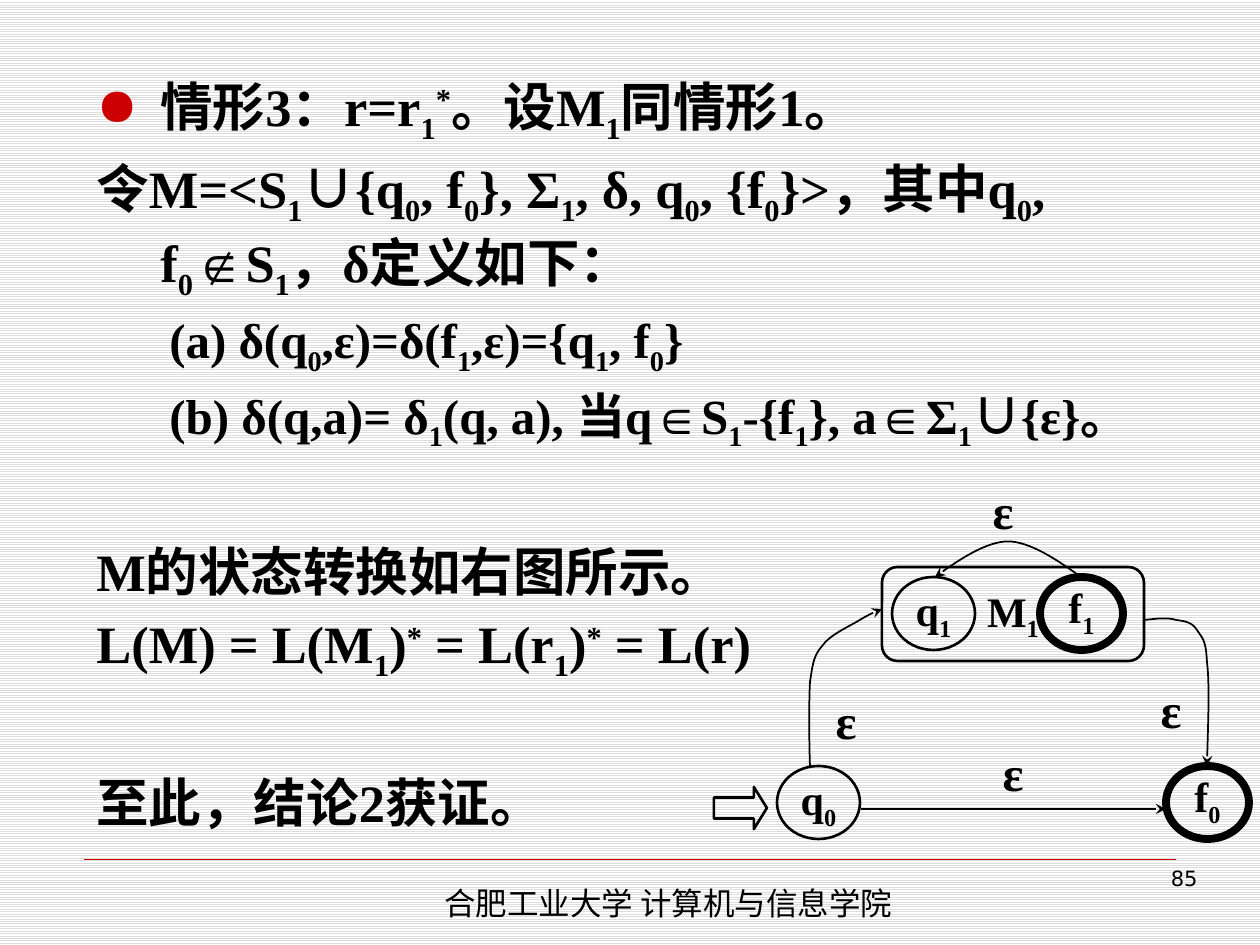
from itertools import groupby

from lxml import etree
from pptx import Presentation
from pptx.dml.color import RGBColor
from pptx.enum.dml import MSO_PATTERN
from pptx.enum.shapes import MSO_CONNECTOR, MSO_SHAPE
from pptx.enum.text import MSO_ANCHOR, PP_ALIGN
from pptx.oxml.ns import qn
from pptx.util import Pt

EMU_PER_PX = 914400 / 126
STRIPES = MSO_PATTERN.LIGHT_HORIZONTAL
STRAIGHT = MSO_CONNECTOR.STRAIGHT
ARROW, BOX, OVAL = MSO_SHAPE.RIGHT_ARROW, MSO_SHAPE.ROUNDED_RECTANGLE, MSO_SHAPE.OVAL
TOP, MIDDLE = MSO_ANCHOR.TOP, MSO_ANCHOR.MIDDLE
LEFT, CENTER, RIGHT = PP_ALIGN.LEFT, PP_ALIGN.CENTER, PP_ALIGN.RIGHT
SERIF, CJK, SANS = "Times New Roman", "Noto Sans CJK SC", "DejaVu Sans"
COLORS = {"ink": "000000", "accent": "CC0000", "stripe": "DDDDDD", "paper": "FFFFFF"}
BASELINES = {"_": -25000, "^": 30000}
LINE_HEIGHTS = {30: 42, 28: 38}
HANGING, NESTED = (64, -64), (145, -72)
STATE_SIZE = (83, 73)
CURVE_STEPS = 10

PROOF = [
    ("情形3：r=r_1^*。设M_1同情形1。", 30, HANGING, 0),
    ("令M=<S_1∪{q_0, f_0}, Σ_1, δ, q_0, {f_0}>，其中q_0, f_0∉S_1，δ定义如下：", 30, HANGING, 5),
    ("(a) δ(q_0,ε)=δ(f_1,ε)={q_1, f_0}", 28, NESTED, 5),
    ("(b) δ(q,a)= δ_1(q, a), 当q∈S_1-{f_1}, a∈Σ_1∪{ε}。", 28, NESTED, 5),
    ("M的状态转换如右图所示。", 30, HANGING, 44),
    ("L(M) = L(M_1)^* = L(r_1)^* = L(r)", 30, HANGING, 4),
    ("至此，结论2获证。", 30, HANGING, 44),
]
STATES = [
    ("q_1", 892, 577, False),
    ("f_1", 1040, 577, True),
    ("q_0", 777, 766, False),
    ("f_0", 1166, 766, True),
]
EPSILON_PLACES = [(1113, 672), (788, 683), (945, 473), (955, 735)]
TRANSITIONS = [
    [(1081, 577), (1063, 564), (1045, 552), (1029, 546), (1013, 540), (1003, 540),
     (987, 546), (971, 552), (953, 564), (935, 577)],
    [(810, 766), (809, 735), (809, 702), (810, 682), (813, 662), (814, 655), (823, 645),
     (830, 635), (848, 627), (858, 621), (868, 615), (874, 612), (882, 609)],
    [(1144, 620), (1155, 619), (1167, 617), (1176, 620), (1184, 621), (1192, 622),
     (1197, 630), (1202, 638), (1206, 639), (1207, 662), (1210, 684), (1208, 726),
     (1207, 766)],
]


def px(length):
    """Turn pixels into EMU."""
    return round(length * EMU_PER_PX)


def color(key):
    """Look up a colour."""
    return RGBColor.from_string(COLORS[key])


def styled_pieces(markup, font):
    """Split markup into runs of text, baseline and font."""
    pieces, baseline = [], 0
    for char in markup:
        if char in BASELINES:
            baseline = BASELINES[char]
            continue
        pieces.append((char, baseline, CJK if char == "∪" else font))
        baseline = 0
    for style, group in groupby(pieces, key=lambda piece: piece[1:]):
        yield "".join(piece[0] for piece in group), *style


def add_runs(paragraph, markup, size, font=SERIF, bold=True):
    """Add the markup to a paragraph run by run."""
    for text, baseline, face in styled_pieces(markup, font):
        run = paragraph.add_run()
        run.text = text
        run.font.size, run.font.bold, run.font.name = Pt(size), bold, face
        run.font.color.rgb = color("ink")
        properties = run.font._element
        if baseline:
            properties.set("baseline", str(baseline))
        east_asian = etree.Element(qn("a:ea"), typeface=CJK)
        properties.find(qn("a:latin")).addnext(east_asian)


def add_label(slide, place, markup, size, font=SERIF, bold=True,
              align=CENTER, anchor=MIDDLE, wrap=False):
    """Add a one-line text box."""
    frame = slide.shapes.add_textbox(*map(px, place)).text_frame
    frame.word_wrap, frame.vertical_anchor = wrap, anchor
    frame.paragraphs[0].alignment = align
    add_runs(frame.paragraphs[0], markup, size, font, bold)


def add_bullet(paragraph, char):
    """Give a paragraph an accent-coloured bullet."""
    properties = paragraph._p.get_or_add_pPr()
    bullet_color = etree.SubElement(properties, qn("a:buClr"))
    etree.SubElement(bullet_color, qn("a:srgbClr"), val=COLORS["accent"])
    etree.SubElement(properties, qn("a:buChar"), char=char)


def add_proof(slide):
    """Add the paragraphs of the proof."""
    frame = slide.shapes.add_textbox(*map(px, (84, 66, 1134, 785))).text_frame
    frame.word_wrap = True
    for index, (markup, size, (margin, indent), gap) in enumerate(PROOF):
        paragraph = frame.add_paragraph() if index else frame.paragraphs[0]
        properties = paragraph._p.get_or_add_pPr()
        properties.set("marL", str(px(margin)))
        properties.set("indent", str(px(indent)))
        if index == 0:
            add_bullet(paragraph, "●")
        paragraph.line_spacing, paragraph.space_before = Pt(LINE_HEIGHTS[size]), Pt(gap)
        add_runs(paragraph, markup, size)


def add_outline(slide, preset, place, width=1.5, markup="", bottom_shift=0):
    """Add an unfilled shape with an optional centred name."""
    outline = slide.shapes.add_shape(preset, *map(px, place))
    outline.shadow.inherit = False
    outline.fill.background()
    outline.line.color.rgb, outline.line.width = color("ink"), Pt(width)
    frame = outline.text_frame
    frame.word_wrap, frame.vertical_anchor = False, MIDDLE
    frame.margin_top = px(6 - bottom_shift)
    frame.paragraphs[0].alignment = CENTER
    add_runs(frame.paragraphs[0], markup, 24)
    return outline


def add_arrowhead(line):
    """Put a stealth arrowhead at the end of a line."""
    etree.SubElement(line.line._get_or_add_ln(), qn("a:tailEnd"), type="stealth")


def add_line(slide, start, end, key, width):
    """Add a straight line without shadow."""
    line = slide.shapes.add_connector(STRAIGHT, *map(px, start + end))
    line.line.color.rgb, line.line.width = color(key), Pt(width)
    etree.SubElement(line._element.spPr, qn("a:effectLst"))
    return line


def bezier_point(controls, t):
    """Find a point on a cubic curve."""
    weights = ((1 - t) ** 3, 3 * t * (1 - t) ** 2, 3 * t * t * (1 - t), t ** 3)
    return tuple(px(sum(w * c for w, c in zip(weights, axis))) for axis in zip(*controls))


def add_transition(slide, controls):
    """Add a curved arrow through joined cubic segments."""
    points = [bezier_point(controls[i:i + 4], step / CURVE_STEPS)
              for i in range(0, len(controls) - 1, 3)
              for step in range(1, CURVE_STEPS + 1)]
    builder = slide.shapes.build_freeform(*map(px, controls[0]))
    builder.add_line_segments(points, close=False)
    curve = builder.convert_to_shape()
    curve.shadow.inherit = False
    curve.fill.background()
    curve.line.color.rgb, curve.line.width = color("ink"), Pt(1)
    add_arrowhead(curve)


def add_automaton(slide):
    """Add the state diagram."""
    start_arrow = add_outline(slide, ARROW, (714, 787, 53, 42))
    start_arrow.adjustments[1] = 0.31
    add_outline(slide, BOX, (882, 567, 262, 94), markup="M_1")
    for name, left, top, final in STATES:
        add_outline(slide, OVAL, (left, top, *STATE_SIZE), 4.5 if final else 1.5,
                    name, 6 if final else 0)
    for controls in TRANSITIONS:
        add_transition(slide, controls)
    add_arrowhead(add_line(slide, (861, 809), (1166, 809), "ink", 1))
    for place in EPSILON_PLACES:
        add_label(slide, (*place, 116, 73), "ε", 28)


def main():
    """Build the slide."""
    deck = Presentation()
    deck.slide_width, deck.slide_height = px(1260), px(945)
    slide = deck.slides.add_slide(deck.slide_layouts[6])
    backdrop = slide.background.fill
    backdrop.patterned()
    backdrop.pattern = STRIPES
    backdrop.fore_color.rgb, backdrop.back_color.rgb = color("stripe"), color("paper")
    add_line(slide, (84, 859), (1176, 859), "accent", 0.25)
    add_label(slide, (432, 878, 595, 50), "合肥工业大学 计算机与信息学院", 18, CJK, False,
              LEFT, TOP, True)
    add_label(slide, (937, 859, 273, 66), "85", 12, SANS, False, RIGHT, TOP, True)
    add_proof(slide)
    add_automaton(slide)
    deck.save("out.pptx")


if __name__ == "__main__":
    main()
